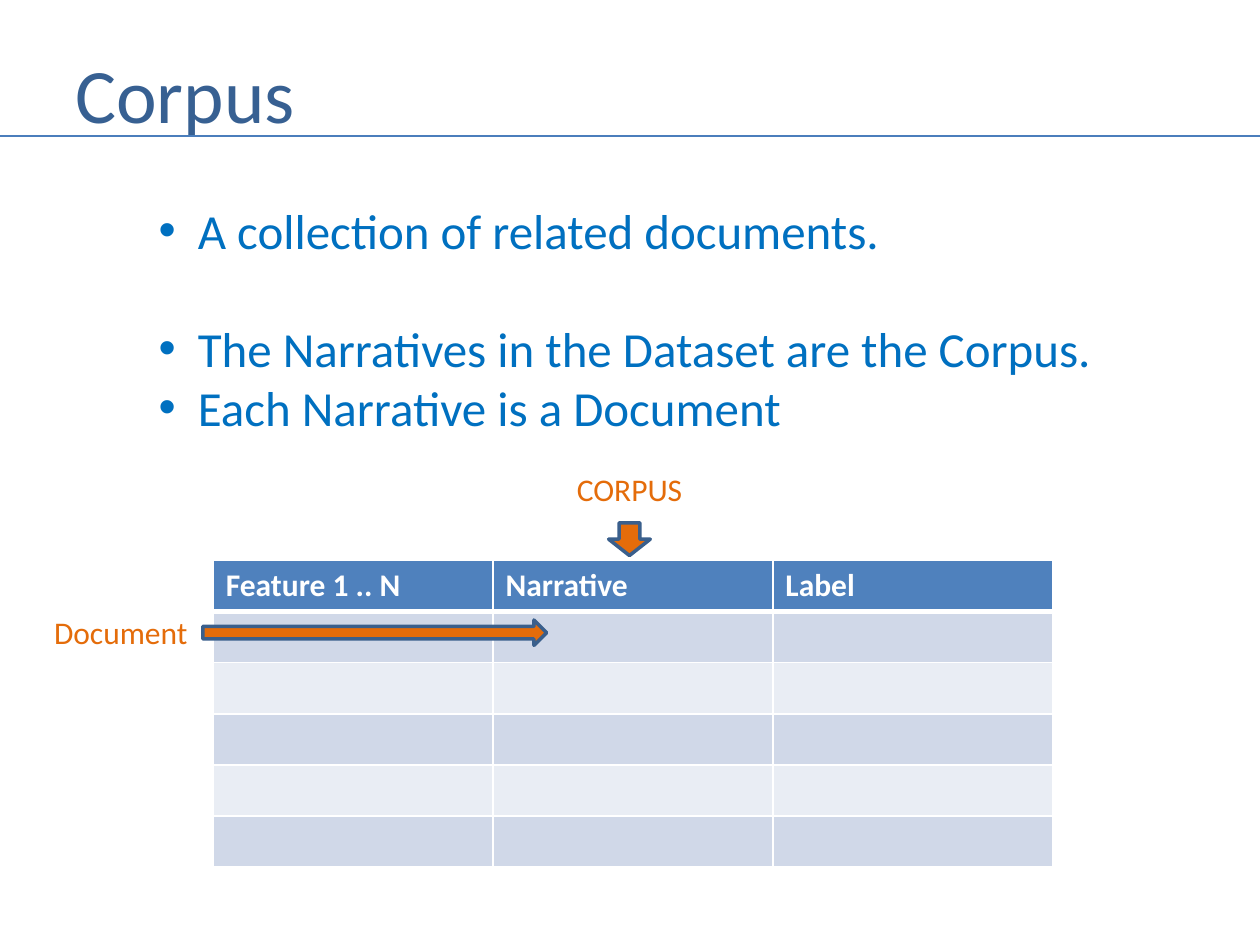
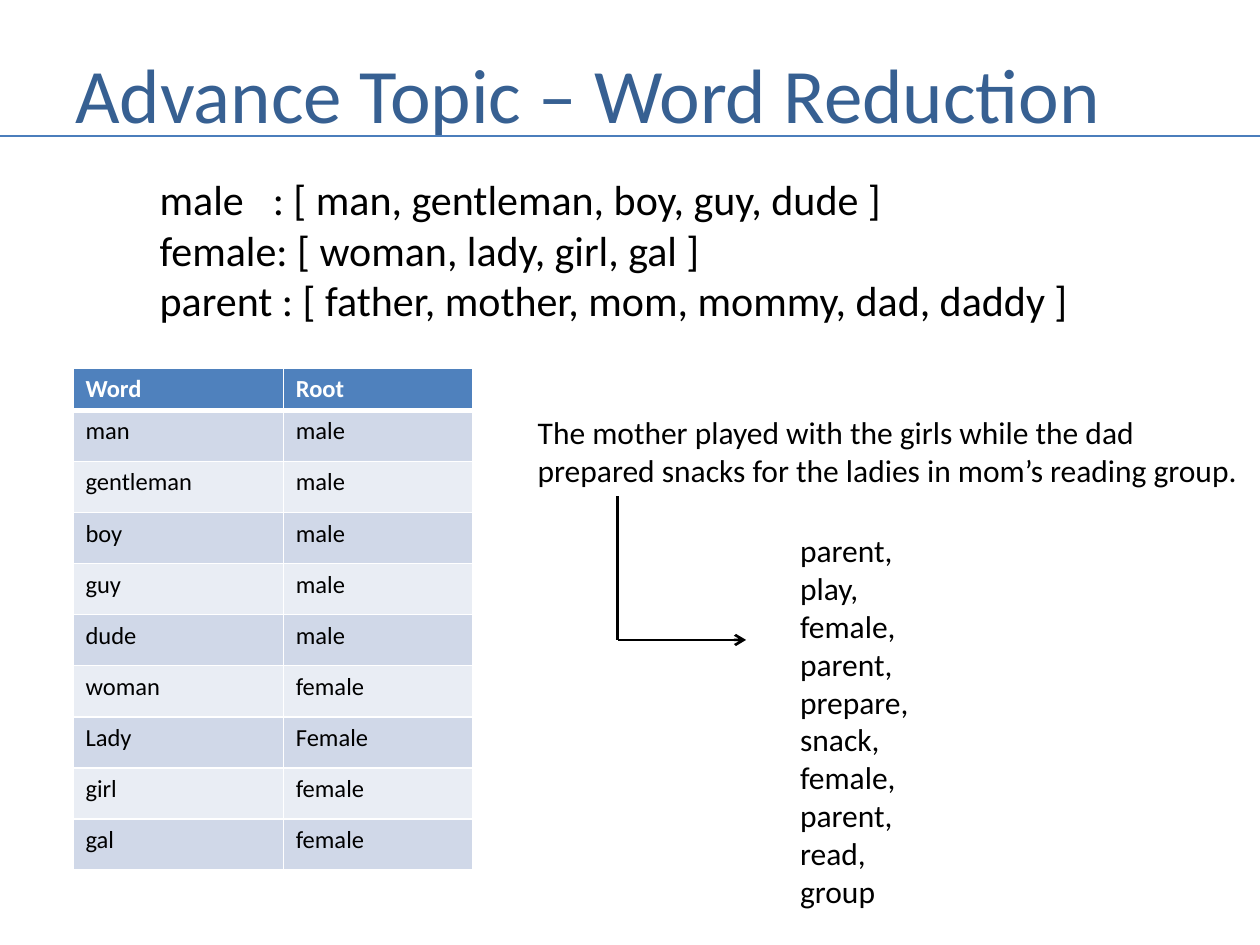
from lxml.etree import SubElement
from pptx import Presentation
from pptx.dml.color import RGBColor
from pptx.enum.shapes import MSO_CONNECTOR, MSO_SHAPE
from pptx.enum.text import MSO_ANCHOR
from pptx.oxml.ns import qn
from pptx.util import Cm, Pt

FONT = "Calibri"
WHITE = RGBColor(0xFF, 0xFF, 0xFF)
BLACK = RGBColor(0x00, 0x00, 0x00)
TITLE_BLUE = RGBColor(0x37, 0x60, 0x92)
RULE_BLUE = RGBColor(0x4B, 0x7E, 0xBC)
BULLET_BLUE = RGBColor(0x00, 0x70, 0xC0)
HEADER_BLUE = RGBColor(0x4F, 0x81, 0xBD)
BANDS = (RGBColor(0xD0, 0xD8, 0xE8), RGBColor(0xE9, 0xED, 0xF4))
ORANGE = RGBColor(0xE4, 0x6C, 0x0A)
ARROW_EDGE = RGBColor(0x3A, 0x5F, 0x8C)

SLIDE_WIDTH, SLIDE_HEIGHT = 25.4, 19.05
ROW_HEIGHT = 1.03


def write(p, text, size=18, color=BLACK, bold=False):
    """Add formatted text to a paragraph."""
    r = p.add_run()
    r.text = text
    r.font.name = FONT
    r.font.size = Pt(size)
    r.font.bold = bold
    r.font.color.rgb = color


def add_text(slide, box, lines, anchor=MSO_ANCHOR.TOP, **style):
    """Add a text box with one paragraph per line and return its paragraphs."""
    tf = slide.shapes.add_textbox(*map(Cm, box)).text_frame
    tf.word_wrap = True
    tf.vertical_anchor = anchor
    for i, line in enumerate(lines):
        p = tf.add_paragraph() if i else tf.paragraphs[0]
        write(p, line, **style)
    return tf.paragraphs


def add_bullet(p, indent=0.79):
    """Give a paragraph a round bullet with a hanging indent."""
    pPr = p._p.get_or_add_pPr()
    pPr.set("marL", str(Cm(indent)))
    pPr.set("indent", str(-Cm(indent)))
    SubElement(pPr, qn("a:buFont"), typeface="Arial")
    SubElement(pPr, qn("a:buChar"), char="•")


def add_tab_stop(p, position):
    """Set a left tab stop on a paragraph."""
    tabs = SubElement(p._p.get_or_add_pPr(), qn("a:tabLst"))
    SubElement(tabs, qn("a:tab"), pos=str(Cm(position)), algn="l")


def add_line(slide, start, end, color=BLACK, arrow=False):
    """Draw a straight line, optionally with an arrowhead at its end."""
    line = slide.shapes.add_connector(
        MSO_CONNECTOR.STRAIGHT, *map(Cm, (*start, *end)))
    line.line.color.rgb = color
    line.line.width = Pt(1.5)
    if arrow:
        SubElement(line.line._get_or_add_ln(), qn("a:tailEnd"), type="arrow")
    SubElement(line._element.spPr, qn("a:effectLst"))


def add_block_arrow(slide, kind, box):
    """Add an orange block arrow."""
    sp = slide.shapes.add_shape(kind, *map(Cm, box))
    sp.shadow.inherit = False
    sp.fill.solid()
    sp.fill.fore_color.rgb = ORANGE
    sp.line.color.rgb = ARROW_EDGE
    sp.line.width = Pt(2)


def set_borders(cell, top, bottom):
    """Give a cell white borders, with its own top and bottom widths."""
    tcPr = cell._tc.get_or_add_tcPr()
    for side, width in (("L", 1), ("R", 1), ("T", top), ("B", bottom)):
        ln = SubElement(tcPr, qn(f"a:ln{side}"), w=str(Pt(width)))
        fill = SubElement(ln, qn("a:solidFill"))
        SubElement(fill, qn("a:srgbClr"), val=str(WHITE))


def add_banded_table(slide, left, top, widths, rows, header_height, size):
    """Add a table with a blue header row and two alternating bands."""
    height = header_height + ROW_HEIGHT * (len(rows) - 1)
    table = slide.shapes.add_table(
        len(rows), len(widths), Cm(left), Cm(top),
        Cm(sum(widths)), Cm(height)).table
    for column, width in zip(table.columns, widths):
        column.width = Cm(width)
    for i, values in enumerate(rows):
        header = i == 0
        table.rows[i].height = Cm(header_height if header else ROW_HEIGHT)
        for j, value in enumerate(values):
            cell = table.cell(i, j)
            set_borders(cell, 3 if i == 1 else 1, 3 if header else 1)
            cell.fill.solid()
            cell.fill.fore_color.rgb = HEADER_BLUE if header else BANDS[(i - 1) % 2]
            if value:
                write(cell.text_frame.paragraphs[0], value, size=size,
                      color=WHITE if header else BLACK, bold=header)


def add_titled_slide(prs, title):
    """Add a blank slide with the shared title and rule."""
    slide = prs.slides.add_slide(prs.slide_layouts[6])
    add_text(slide, (1.27, 0.76, 23.06, 2.2), [title],
             anchor=MSO_ANCHOR.MIDDLE, size=44, color=TITLE_BLUE)
    add_line(slide, (0, 2.74), (SLIDE_WIDTH, 2.74), color=RULE_BLUE)
    return slide


def build_corpus(prs):
    """Build the slide that defines a corpus."""
    slide = add_titled_slide(prs, "Corpus")
    bullets = add_text(slide, (2.95, 3.91, 19.6, 5.5), [
        "A collection of related documents.",
        "The Narratives in the Dataset are the Corpus.",
        "Each Narrative is a Document",
    ], size=28, color=BULLET_BLUE)
    for p in bullets:
        add_bullet(p)
    bullets[1].space_before = Pt(34)
    header = ("Feature 1 .. N", "Narrative", "Label")
    add_banded_table(slide, 4.3, 11.3, [5.64] * 3,
                     [header] + [("", "", "")] * 5, ROW_HEIGHT, 18)
    add_text(slide, (11.38, 9.35, 2.8, 1.02), ["CORPUS"], color=ORANGE)
    add_block_arrow(slide, MSO_SHAPE.DOWN_ARROW, (12.27, 10.54, 0.84, 0.66))
    add_text(slide, (0.84, 12.24, 3.4, 1.02), ["Document"], color=ORANGE)
    add_block_arrow(slide, MSO_SHAPE.RIGHT_ARROW, (4.09, 12.5, 6.93, 0.51))


def build_word_reduction(prs):
    """Build the slide that maps words to their roots."""
    slide = add_titled_slide(prs, "Advance Topic – Word Reduction")
    groups = add_text(slide, (2.97, 3.38, 19.2, 3.33), [
        "male\t: [ man, gentleman, boy, guy, dude ]",
        "female: [ woman, lady, girl, gal ]",
        "parent : [ father, mother, mom, mommy, dad, daddy ]",
    ], size=24)
    add_tab_stop(groups[0], 2.28)
    add_banded_table(slide, 1.47, 7.42, (4.24, 3.81), [
        ("Word", "Root"),
        ("man", "male"),
        ("gentleman", "male"),
        ("boy", "male"),
        ("guy", "male"),
        ("dude", "male"),
        ("woman", "female"),
        ("Lady", "Female"),
        ("girl", "female"),
        ("gal", "female"),
    ], 0.85, 14)
    add_text(slide, (10.59, 8.2, 14.8, 1.8), [
        "The mother played with the girls while the dad",
        "prepared snacks for the ladies in mom’s reading group.",
    ])
    add_text(slide, (15.88, 10.59, 2.87, 7.95), [
        "parent,", "play,", "female,", "parent,", "prepare,",
        "snack,", "female,", "parent,", "read,", "group",
    ])
    corner = (12.45, 12.9)
    add_line(slide, (12.45, 10), corner)
    add_line(slide, corner, (15.04, 12.9), arrow=True)


def main():
    """Build and save the presentation."""
    prs = Presentation()
    prs.slide_width, prs.slide_height = Cm(SLIDE_WIDTH), Cm(SLIDE_HEIGHT)
    build_corpus(prs)
    build_word_reduction(prs)
    prs.save("out.pptx")


main()
